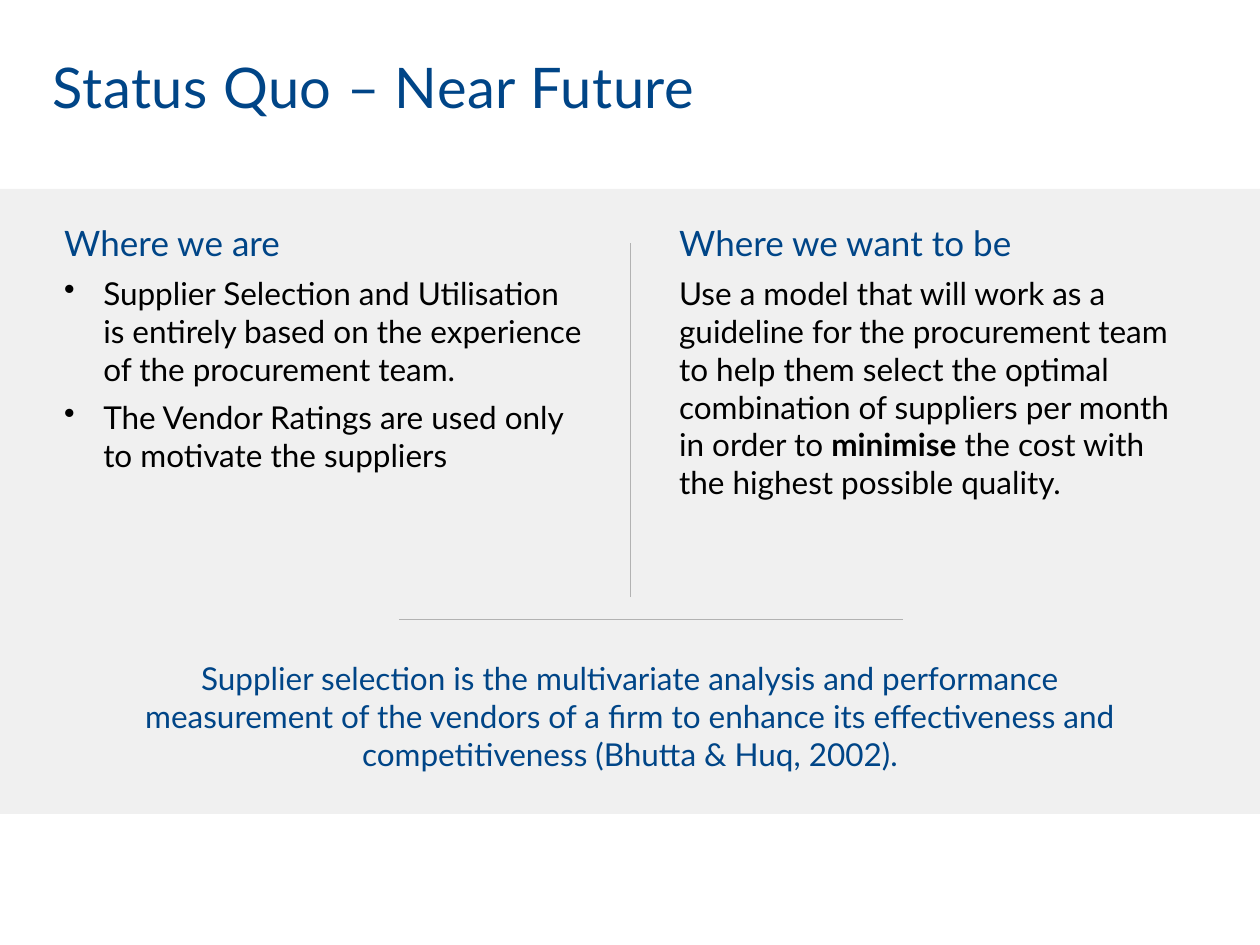
import pptx
import pptx.util
import pptx.dml.color
import pptx.enum.shapes
import pptx.enum.text
import lxml.etree

COLORS = {"panel": "F0F0F0", "heading": "004587", "body": "000000", "rule": "B2B2B2"}
FONT = "Lato"
COLUMNS, ROWS = 100, 75
CELL = pptx.util.Inches(0.1)

HEADING = {"size": 20, "color": "heading"}
BODY = {"size": 18, "color": "body"}
QUOTE = {"size": 18, "color": "heading"}
TITLE = {"size": 32, "color": "heading"}
COLUMN_INSETS = {"margin_left": 0.09, "margin_top": 0.01,
                 "margin_right": 0.09, "margin_bottom": 0.05}
NO_INSETS = dict.fromkeys(COLUMN_INSETS, 0)
SPACE_BEFORE = pptx.util.Pt(6)


def grid(*cells):
    return [round(cell * CELL) for cell in cells]


def rgb(name):
    return pptx.dml.color.RGBColor.from_string(COLORS[name])


def add_frame(slide, box, insets):
    frame = slide.shapes.add_textbox(*grid(*box)).text_frame
    frame.word_wrap = True
    for side, inches in insets.items():
        setattr(frame, side, pptx.util.Inches(inches))
    return frame


def add_bullet(paragraph):
    indent = pptx.util.Inches(0.31)
    properties = paragraph._p.get_or_add_pPr()
    properties.set("marL", str(indent))
    properties.set("indent", str(-indent))
    bullet = lxml.etree.SubElement(properties, pptx.oxml.ns.qn("a:buChar"))
    bullet.set("char", "•")


def write(paragraph, look, *pieces):
    """Write the pieces as runs; every second piece is bold."""
    for number, piece in enumerate(pieces):
        run = paragraph.add_run()
        run.text = piece
        run.font.color.rgb = rgb(look["color"])
        settings = {"name": FONT, "size": pptx.util.Pt(look["size"]), "bold": number % 2 == 1}
        for attribute, value in settings.items():
            setattr(run.font, attribute, value)


def add_rule(slide, *ends):
    rule = slide.shapes.add_connector(pptx.enum.shapes.MSO_CONNECTOR.STRAIGHT, *grid(*ends))
    rule.line.color.rgb = rgb("rule")
    rule.line.width = pptx.util.Pt(0.5)
    lxml.etree.SubElement(rule._element.spPr, pptx.oxml.ns.qn("a:effectLst"))


def add_title(slide, box, text):
    paragraph = add_frame(slide, box, NO_INSETS).paragraphs[0]
    write(paragraph, TITLE, text)
    paragraph.runs[0]._r.get_or_add_rPr().set("spc", "30")


def add_panel(slide, box):
    panel = slide.shapes.add_shape(pptx.enum.shapes.MSO_SHAPE.RECTANGLE, *grid(*box))
    panel.shadow.inherit = False
    panel.fill.solid()
    panel.fill.fore_color.rgb = rgb("panel")
    panel.line.fill.background()


def add_column(slide, box, heading, entries, bulleted=False):
    frame = add_frame(slide, box, COLUMN_INSETS)
    write(frame.paragraphs[0], HEADING, heading)
    for entry in entries:
        paragraph = frame.add_paragraph()
        paragraph.space_before = SPACE_BEFORE
        if bulleted:
            add_bullet(paragraph)
        write(paragraph, BODY, *entry)


def add_comparison(slide, box):
    left, top, width, height = box
    middle = left + width / 2
    # Present state
    add_column(slide, (left, top, 43.3, height), "Where we are", [
        ["Supplier Selection and Utilisation is entirely based on the experience "
         "of the procurement team."],
        ["The Vendor Ratings are used only to motivate the suppliers"],
    ], bulleted=True)
    # Goal
    add_column(slide, (middle + 3, top, 41, height), "Where we want to be", [
        ["Use a model that will work as a guideline for the procurement team to help them "
         "select the optimal combination of suppliers per month in order to ",
         "minimise", " the cost with the highest possible quality."],
    ])
    # Divider between the two
    add_rule(slide, middle, top + height - 0.1, middle, top + 1.8)


def add_definition(slide, box, text):
    left, top, width, height = box
    # Rule above the definition
    rule_left, rule_top = left + 21.3, top - 3.1
    add_rule(slide, rule_left, rule_top, rule_left + 40, rule_top)
    paragraph = add_frame(slide, box, NO_INSETS).paragraphs[0]
    paragraph.alignment = pptx.enum.text.PP_ALIGN.CENTER
    write(paragraph, QUOTE, text)


def main():
    deck = pptx.Presentation()
    deck.slide_width, deck.slide_height = grid(COLUMNS, ROWS)
    slide = deck.slides.add_slide(deck.slide_layouts[6])
    add_panel(slide, (0, 15, COLUMNS, 49.6))
    add_title(slide, (4.2, 4.2, 91.6, 10.8), "Status Quo – Near Future")
    add_comparison(slide, (4.2, 17.5, 91.6, 30))
    add_definition(slide, (10.4, 52.3, 79.2, 14.8),
                   "Supplier selection is the multivariate analysis and performance measurement "
                   "of the vendors of a firm to enhance its effectiveness and competitiveness "
                   "(Bhutta & Huq, 2002).")
    deck.save("out.pptx")


if __name__ == "__main__":
    main()
